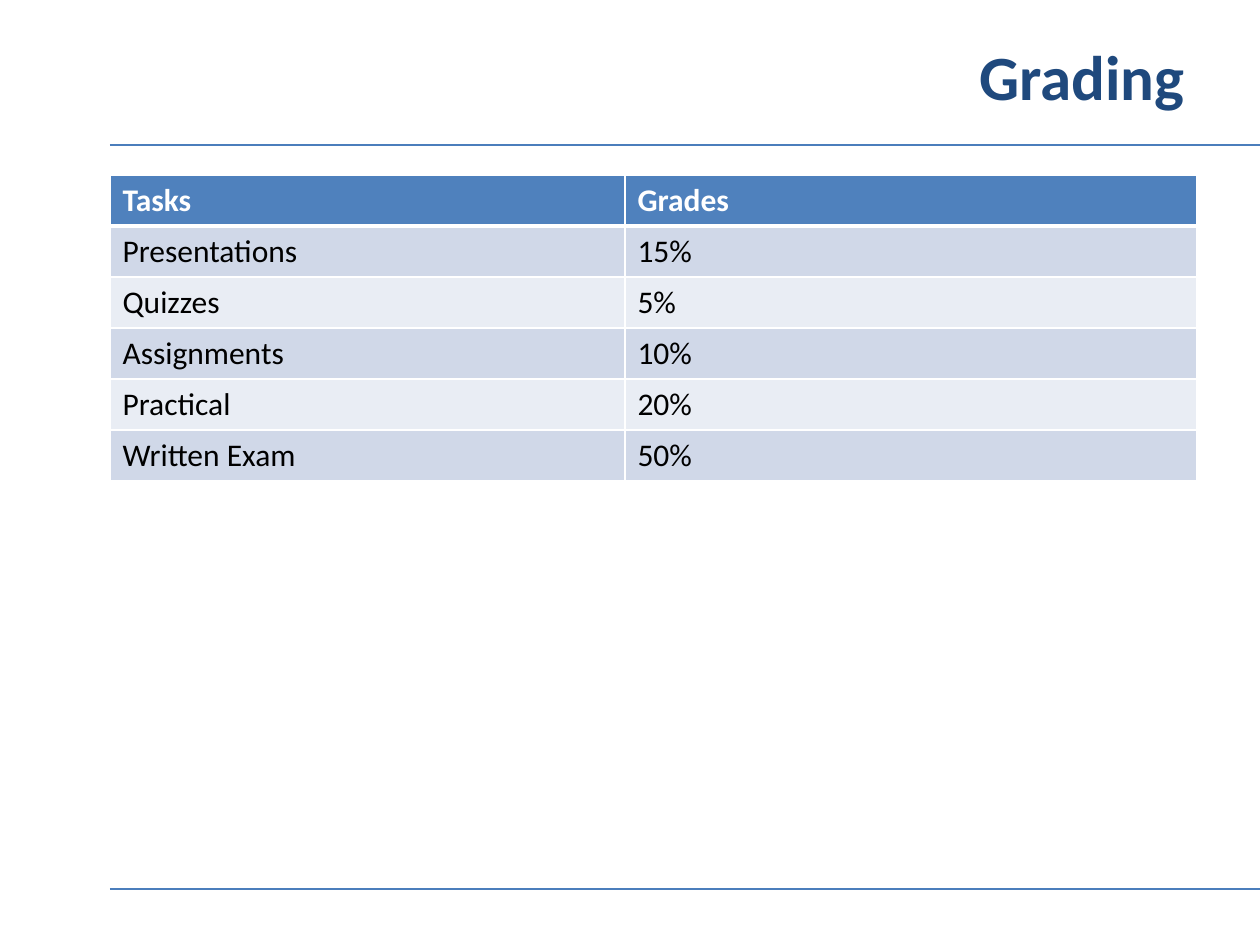
from lxml.etree import SubElement
from pptx import Presentation
from pptx.dml.color import RGBColor
from pptx.enum.shapes import MSO_CONNECTOR as Link
from pptx.enum.text import MSO_ANCHOR as Anchor, PP_ALIGN as Align
from pptx.oxml.ns import qn
from pptx.util import Pt

SCALE = 914400 / 126  # EMU in one px
WIDE, HIGH = 1260, 945
LEFT = 110
GRADES = [
    ("Tasks", "Grades"),
    ("Presentations", "15%"),
    ("Quizzes", "5%"),
    ("Assignments", "10%"),
    ("Practical", "20%"),
    ("Written Exam", "50%"),
]


def px(size):
    return round(size * SCALE)


def color(code):
    return RGBColor.from_string(code)


def style(frame, size, code, bold):
    for para in frame.paragraphs:
        for run in para.runs:
            font = run.font
            font.name, font.size, font.bold = "Calibri", Pt(size), bold
            font.color.rgb = color(code)


def add_title(slide, text, x, y, w, h):
    frame = slide.shapes.add_textbox(px(x), px(y), px(w), px(h)).text_frame
    frame.word_wrap = True
    frame.vertical_anchor = Anchor.MIDDLE
    frame.text = text
    frame.paragraphs[0].alignment = Align.RIGHT
    style(frame, 36, "1F497D", True)


def add_rule(slide, x, y, w):
    line = slide.shapes.add_connector(
        Link.STRAIGHT, px(x), px(y), px(x + w), px(y))
    line.line.color.rgb = color("4B7EBC")
    line.line.width = Pt(0.75)
    SubElement(line._element.spPr, qn("a:effectLst"))


def add_edge(cell, side, width):
    props = cell._tc.get_or_add_tcPr()
    edge = SubElement(props, qn(f"a:ln{side}"), w=str(Pt(width)))
    fill = SubElement(edge, qn("a:solidFill"))
    SubElement(fill, qn("a:srgbClr"), val="FFFFFF")


def add_grades(slide, rows, x, y, cols, step):
    grid = slide.shapes.add_table(
        len(rows), len(cols), px(x), px(y),
        px(sum(cols)), px(step * len(rows))).table
    for col, width in zip(grid.columns, cols):
        col.width = px(width)
    for r, row in enumerate(rows):
        head = r == 0
        back = "4F81BD" if head else ("E9EDF4", "D0D8E8")[r % 2]
        # The heavy edge lies between the header and the first row
        edges = {"L": 1, "R": 1, "T": 3 if r == 1 else 1, "B": 3 if head else 1}
        for c, text in enumerate(row):
            cell = grid.cell(r, c)
            for side, width in edges.items():
                add_edge(cell, side, width)
            cell.fill.solid()
            cell.fill.fore_color.rgb = color(back)
            cell.text_frame.text = text
            style(cell.text_frame, 18, "FFFFFF" if head else "000000", head)


def main():
    deck = Presentation()
    deck.slide_width, deck.slide_height = px(WIDE), px(HIGH)
    slide = deck.slides.add_slide(deck.slide_layouts[6])

    # Title
    add_title(slide, "Grading", 63, -4, 1134, 158)
    # Rules under the title and above the footer
    for y in (145, 889):
        add_rule(slide, LEFT, y, WIDE - LEFT)
    # Grading table
    add_grades(slide, GRADES, LEFT, 175, (515, 572), 51)

    deck.save("out.pptx")


if __name__ == "__main__":
    main()
